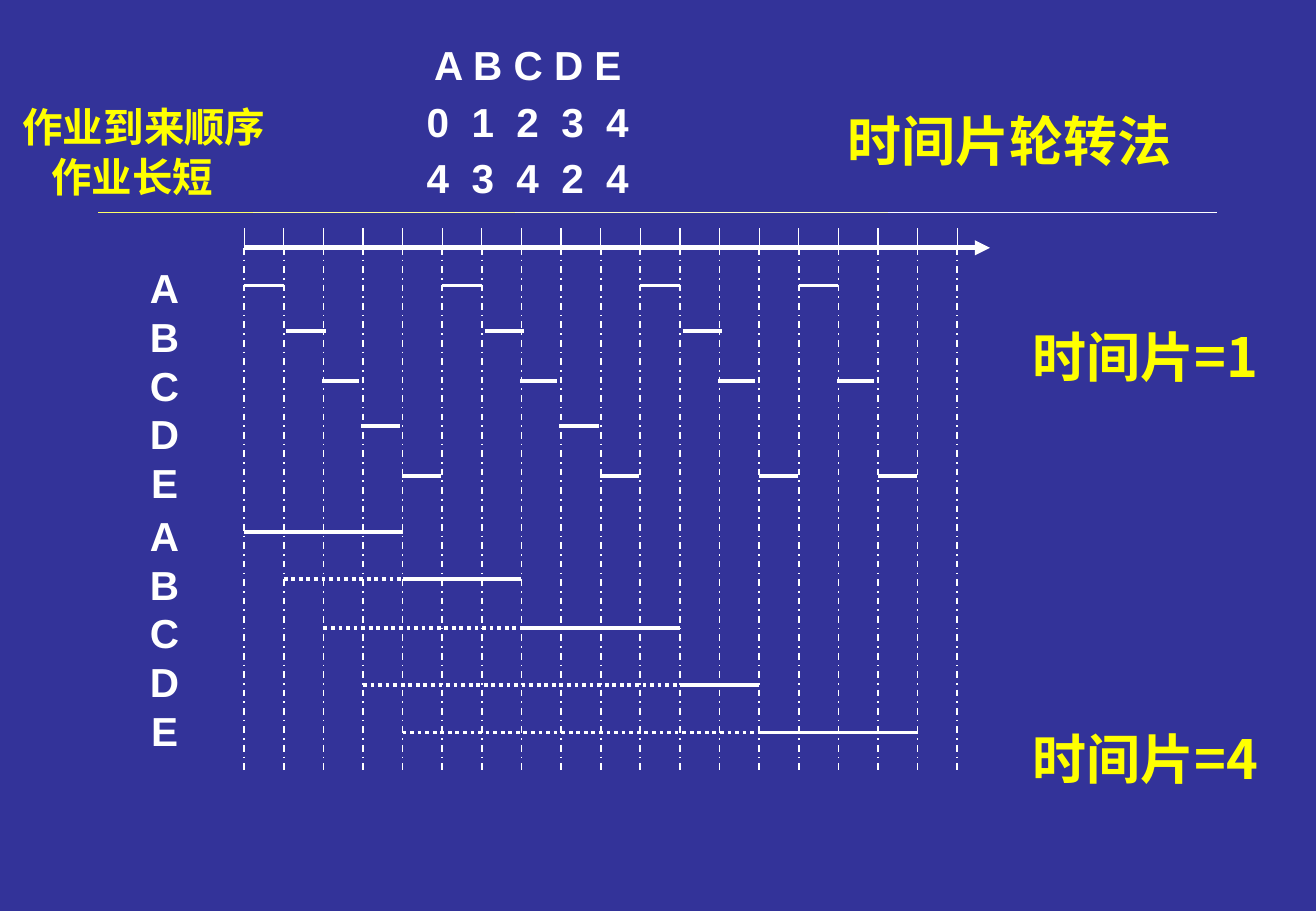
from pptx import Presentation
from pptx.dml.color import RGBColor
from pptx.enum.dml import MSO_LINE
from pptx.enum.shapes import MSO_CONNECTOR
from pptx.enum.text import MSO_ANCHOR, MSO_AUTO_SIZE, PP_ALIGN
from pptx.oxml.ns import qn
from pptx.util import Pt
from lxml.etree import SubElement

NAVY = RGBColor(0x33, 0x33, 0x99)
WHITE = RGBColor(0xFF, 0xFF, 0xFF)
YELLOW = RGBColor(0xFF, 0xFF, 0x00)
CREAM = RGBColor(0xFF, 0xFF, 0xCC)
PALE_YELLOW = RGBColor(0xFF, 0xFF, 0x99)
SOFT_YELLOW = RGBColor(0xFF, 0xFF, 0x66)

LATIN, CHINESE = "Arial", "Noto Sans CJK SC"
JOBS = "ABCDE"

# Time axis: slot 0 lies at AXIS_LEFT, each slot is SLOT wide
AXIS_LEFT, SLOT, TICKS = 144.72, 23.48, 19
TICK_TOP, AXIS_Y, GRID_BOTTOM = 135.4, 146.9, 458.6

# Header rule: start, end, colour
RULE_PARTS = [
    (58.3, 149.8, SOFT_YELLOW),
    (149.8, 305.3, PALE_YELLOW),
    (305.3, 526.3, CREAM),
    (526.3, 721.4, WHITE),
]

# Time slice 1: height, shift, bar length, slots served
SHORT_SLICES = [
    (169.2, 0, 23.4, (0, 5, 10, 14)),
    (196.4, 1.6, 23.2, (1, 6, 11)),
    (226, -0.7, 21.6, (2, 7, 12, 15)),
    (252.7, -1, 23.2, (3, 8)),
    (282.1, -0.2, 23.2, (4, 9, 13, 16)),
]

# Time slice 4: height, arrival slot, start slot, end slot
LONG_SLICES = [
    (315.4, 0, 0, 4),
    (343, 1, 4, 7),
    (372.2, 2, 7, 11),
    (406.1, 3, 11, 13),
    (434.2, 4, 13, 17),
]


def slot_x(slot):
    return AXIS_LEFT + slot * SLOT


def add_line(page, start, end, width, color=WHITE, dash=None, arrow=False):
    line = page.shapes.add_connector(
        MSO_CONNECTOR.STRAIGHT, *(Pt(value) for value in (*start, *end)))
    line.line.color.rgb = color
    line.line.width = Pt(width)
    if dash:
        line.line.dash_style = dash
    if arrow:
        SubElement(line.line._get_or_add_ln(), qn("a:tailEnd"), type="triangle")
    SubElement(line._element.spPr, qn("a:effectLst"))


def add_bar(page, left, right, y, dash=None):
    add_line(page, (left, y), (right, y), 2.25, dash=dash)


def fill_box(box, place, lines, size, color, font, wrap=True, gap=0, spacing=1.2):
    for name, value in zip(("left", "top", "width", "height"), place):
        setattr(box, name, Pt(value))
    frame = box.text_frame
    frame_format = {"word_wrap": wrap, "auto_size": MSO_AUTO_SIZE.NONE,
                    "vertical_anchor": MSO_ANCHOR.TOP}
    for name, value in frame_format.items():
        setattr(frame, name, value)
    for index, text in enumerate(lines):
        para = frame.add_paragraph() if index else frame.paragraphs[0]
        para_format = {"alignment": PP_ALIGN.CENTER,
                       "line_spacing": Pt(size * spacing),
                       "space_before": Pt(gap if index else 0)}
        for name, value in para_format.items():
            setattr(para, name, value)
        span = para.add_run()
        span.text = text
        for name, value in {"size": Pt(size), "bold": True, "name": font}.items():
            setattr(span.font, name, value)
        span.font.color.rgb = color
        SubElement(span._r.get_or_add_rPr(), qn("a:ea"), typeface=CHINESE)


def add_text(page, place, *args, **options):
    box = page.shapes.add_textbox(*(Pt(value) for value in place))
    fill_box(box, place, *args, **options)
    return box


def add_time_grid(page):
    add_line(page, (AXIS_LEFT, AXIS_Y), (586.8, AXIS_Y), 3, arrow=True)
    for slot in range(TICKS):
        x = slot_x(slot)
        add_line(page, (x, TICK_TOP), (x, AXIS_Y), 0.75)
        add_line(page, (x, AXIS_Y), (x, GRID_BOTTOM), 1, dash=MSO_LINE.DASH_DOT)


def add_schedules(page):
    for y, shift, length, slots in SHORT_SLICES:
        for slot in slots:
            left = slot_x(slot) + shift
            add_bar(page, left, left + length, y)
    for y, arrival, start, end in LONG_SLICES:
        if arrival < start:
            add_bar(page, slot_x(arrival), slot_x(start), y, MSO_LINE.ROUND_DOT)
        add_bar(page, slot_x(start), slot_x(end), y)


def add_job_table(page):
    box = add_text(page, (136.8, 20.2, 352.1, 141.1),
                   ["A B C D E", "0 1 2 3 4", "4 3 4 2 4"],
                   24, WHITE, LATIN, gap=4.8)
    # Wider letter spacing for the two rows of figures
    for para in box.text_frame.paragraphs[1:]:
        para.runs[0]._r.get_or_add_rPr().set("spc", "333")


def main():
    deck = Presentation()
    deck.slide_width, deck.slide_height = Pt(780), Pt(540)
    page = deck.slides.add_slide(deck.slide_layouts[5])
    page.background.fill.solid()
    page.background.fill.fore_color.rgb = NAVY

    # Title and header rule
    fill_box(page.shapes.title, (472.3, 58.3, 252, 46.1), ["时间片轮转法"],
             32, YELLOW, CHINESE, spacing=1.26)
    for left, right, color in RULE_PARTS:
        add_line(page, (left, 126), (right, 126), 0.75, color)

    # Chart of both schedules
    add_time_grid(page)
    add_schedules(page)
    for top in (152.6, 299.5):
        add_text(page, (82.8, top, 29.5, 152.6), JOBS, 24, WHITE, LATIN, wrap=False)

    # Job data and captions
    add_job_table(page)
    captions = [
        ((577.4, 186.5, 203, 46.1), "时间片=1", 32, CHINESE),
        ((577.4, 424.8, 203, 46.1), "时间片=4", 32, CHINESE),
        ((2.9, 55.4, 164.9, 36.7), "作业到来顺序", 24, LATIN),
        ((2.9, 85, 151.2, 36), "作业长短", 24, LATIN),
    ]
    for place, text, size, font in captions:
        add_text(page, place, [text], size, YELLOW, font, spacing=1.26)

    deck.save("out.pptx")


if __name__ == "__main__":
    main()
